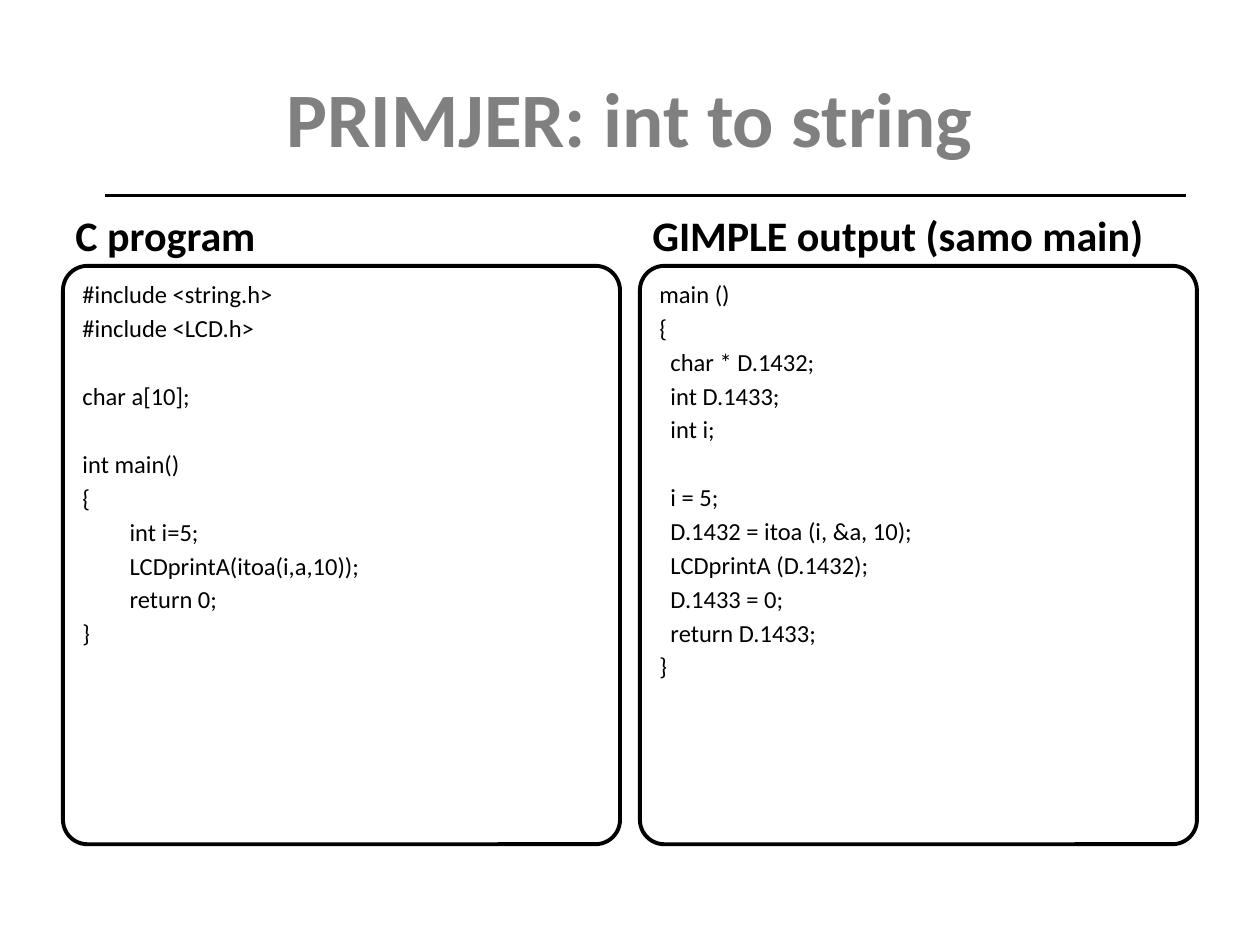
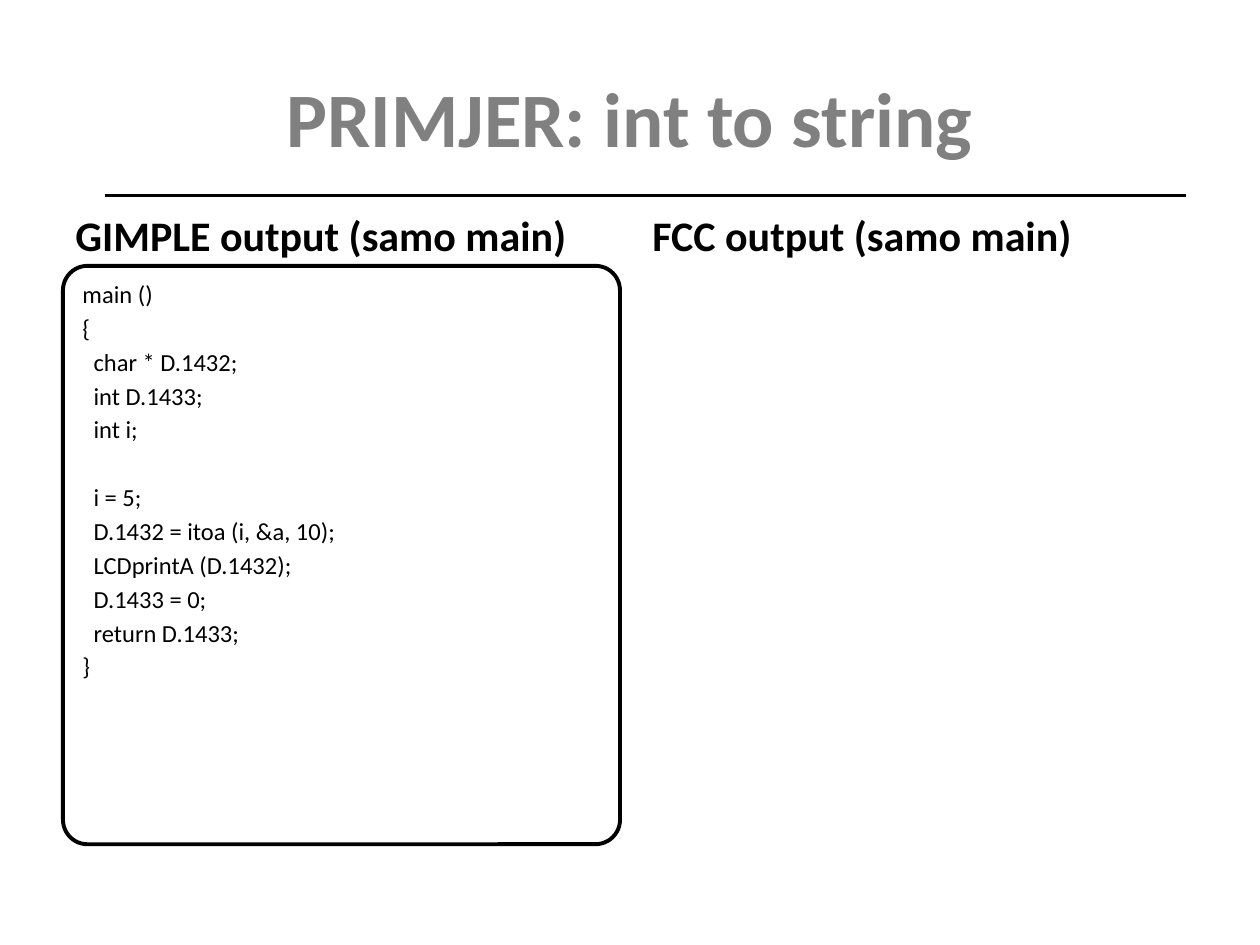
from dataclasses import dataclass
from typing import Any

from pptx import Presentation
from pptx.dml.color import RGBColor
from pptx.enum.shapes import MSO_CONNECTOR as Connector, MSO_SHAPE as Shape
from pptx.enum.text import MSO_ANCHOR as Anchor, PP_ALIGN as Align
from pptx.oxml.ns import qn
from pptx.slide import Slide
from pptx.util import Cm, Pt
from lxml.etree import SubElement

BLACK, GREY, WHITE = "000000", "808080", "FFFFFF"
FONT = "Calibri"
MARGIN, CONTENT_WIDTH = 1.27, 22.86
COLUMN_WIDTH = 11.23
COLUMN_STEP = CONTENT_WIDTH - COLUMN_WIDTH
TAB_INDENT = Cm(0.95)
LINE_GAP, BLANK_LINE = 2.5, 19.6

TITLE_FONT = {"name": FONT, "size": Pt(44), "bold": True}
HEADING_FONT = {"name": FONT, "size": Pt(24), "bold": True}
CODE_FONT = {"name": FONT, "size": Pt(14), "bold": False}

C_PROGRAM = """#include <string.h>
#include <LCD.h>

char a[10];

int main()
{
\tint i=5;
\tLCDprintA(itoa(i,a,10));
\treturn 0;
}"""

GIMPLE_MAIN = """main ()
{
  char * D.1432;
  int D.1433;
  int i;

  i = 5;
  D.1432 = itoa (i, &a, 10);
  LCDprintA (D.1432);
  D.1433 = 0;
  return D.1433;
}"""


@dataclass(frozen=True)
class Panel:
    heading: str
    code: str = ""


GIMPLE_PANEL = Panel("GIMPLE output (samo main)", GIMPLE_MAIN)
SLIDES = [
    [Panel("C program", C_PROGRAM), GIMPLE_PANEL],
    [GIMPLE_PANEL, Panel("FCC output (samo main)")],
]


def rgb(value: str) -> RGBColor:
    return RGBColor.from_string(value)


def set_font(font: Any, values: dict[str, Any], color: str) -> None:
    for attribute, value in values.items():
        setattr(font, attribute, value)
    font.color.rgb = rgb(color)


def add_label(slide: Slide, text: str, box: tuple[float, ...], font: dict[str, Any],
              color: str, align: Align, anchor: Anchor) -> None:
    frame = slide.shapes.add_textbox(*map(Cm, box)).text_frame
    frame.word_wrap = True
    frame.vertical_anchor = anchor
    paragraph = frame.paragraphs[0]
    paragraph.text = text
    paragraph.alignment = align
    set_font(paragraph.runs[0].font, font, color)


def add_title(slide: Slide, text: str) -> None:
    add_label(slide, text, (MARGIN, 0.76, CONTENT_WIDTH, 3.17), TITLE_FONT,
              GREY, Align.CENTER, Anchor.MIDDLE)
    rule = slide.shapes.add_connector(Connector.STRAIGHT, Cm(2.11), Cm(3.94), Cm(23.9), Cm(3.94))
    rule.line.color.rgb = rgb(BLACK)
    rule.line.width = Pt(2)
    SubElement(rule.element.spPr, qn("a:effectLst"))


def add_code(slide: Slide, code: str, left: float) -> None:
    """Draw a rounded frame with code; a blank line becomes space before the next one."""
    box = slide.shapes.add_shape(Shape.ROUNDED_RECTANGLE, Cm(left), Cm(5.36),
                                 Cm(COLUMN_WIDTH), Cm(11.66))
    box.adjustments[0] = 0.044
    box.shadow.inherit = False
    box.fill.solid()
    box.fill.fore_color.rgb = rgb(WHITE)
    box.line.color.rgb = rgb(BLACK)
    box.line.width = Pt(2.25)
    frame = box.text_frame
    frame.word_wrap = True
    frame.vertical_anchor = Anchor.TOP

    gap = 0.0
    paragraph = frame.paragraphs[0]
    for line in code.splitlines():
        if not line:
            gap += BLANK_LINE
            continue
        if paragraph.runs:
            paragraph = frame.add_paragraph()
        properties = paragraph._p.get_or_add_pPr()
        properties.set("marL", str(TAB_INDENT))
        properties.set("indent", str(-TAB_INDENT))
        paragraph.alignment = Align.LEFT
        paragraph.space_before = Pt(gap)
        run = paragraph.add_run()
        run.text = line
        set_font(run.font, CODE_FONT, BLACK)
        gap = LINE_GAP


def add_panel(slide: Slide, panel: Panel, column: int) -> None:
    left = MARGIN + column * COLUMN_STEP
    add_label(slide, panel.heading, (left, 4.27, COLUMN_WIDTH, 1.09), HEADING_FONT,
              BLACK, Align.LEFT, Anchor.BOTTOM)
    if panel.code:
        add_code(slide, panel.code, left)


def main() -> None:
    deck = Presentation()
    deck.slide_width, deck.slide_height = Cm(25.4), Cm(19.05)
    blank_layout = deck.slide_layouts[6]
    for panels in SLIDES:
        slide = deck.slides.add_slide(blank_layout)
        add_title(slide, "PRIMJER: int to string")
        for column, panel in enumerate(panels):
            add_panel(slide, panel, column)
    deck.save("out.pptx")


if __name__ == "__main__":
    main()
